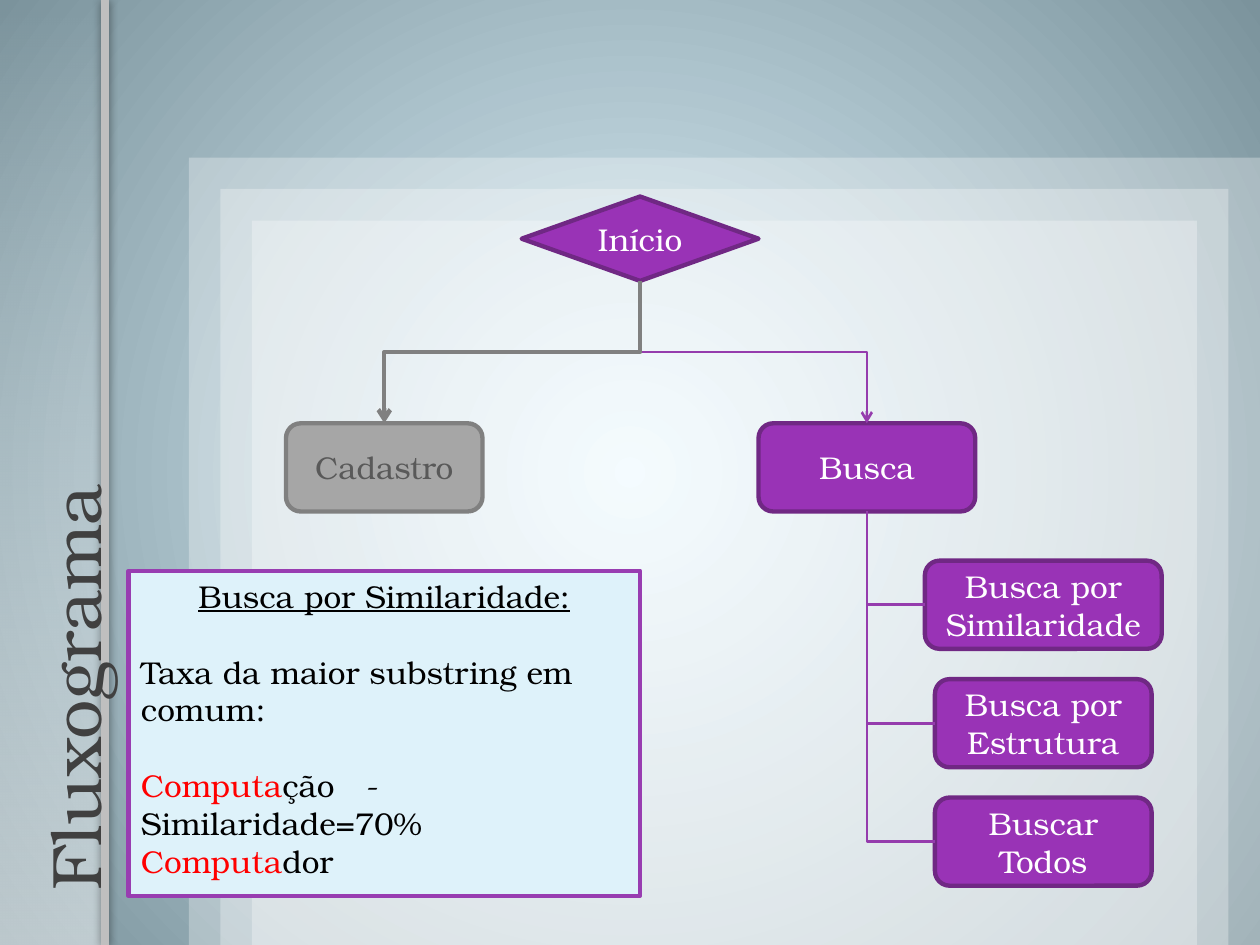
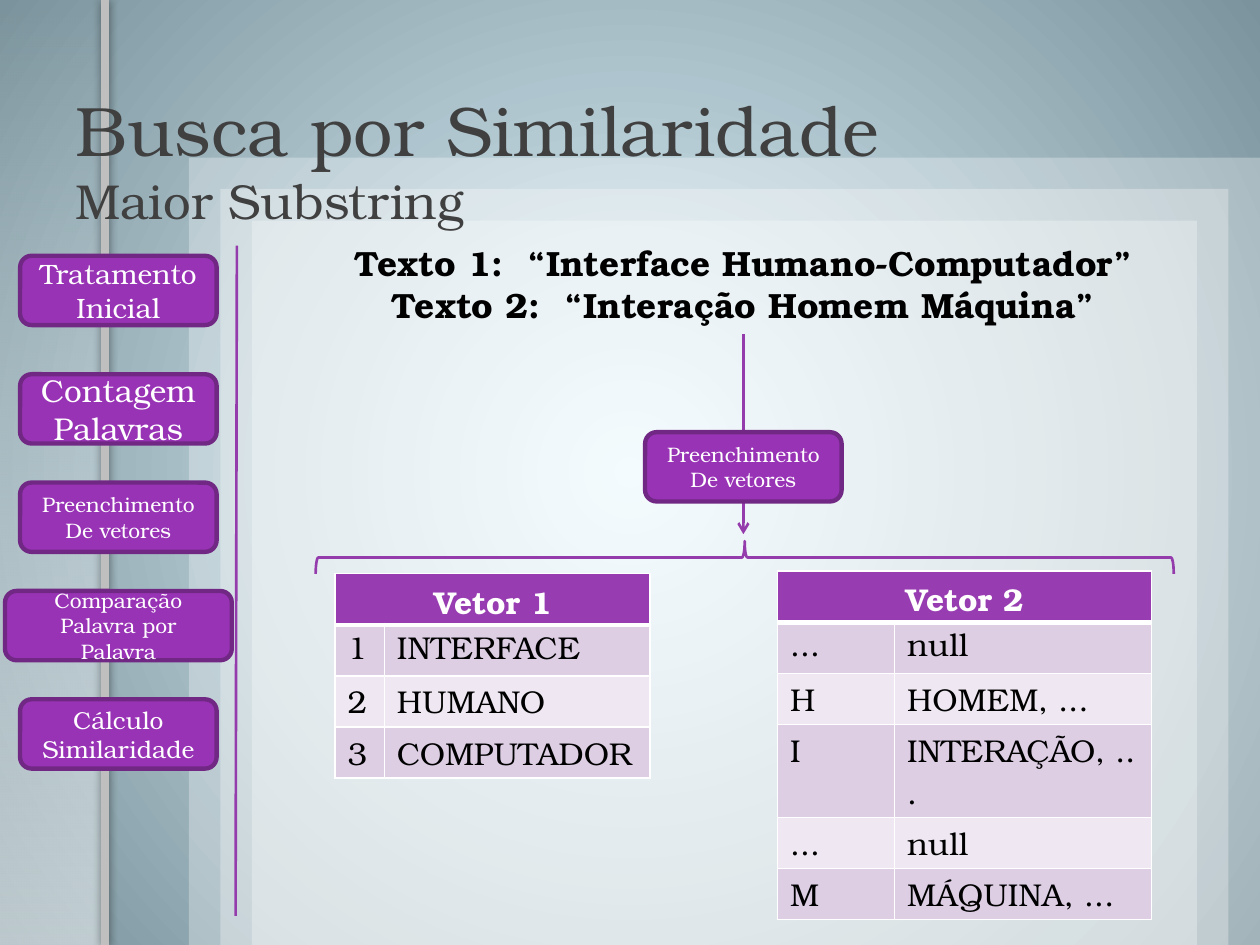
"""Build two slides on a similarity search: a flowchart and the filling of vectors."""
from lxml import etree
from pptx import Presentation
from pptx.dml.color import RGBColor
from pptx.enum.shapes import MSO_CONNECTOR, MSO_SHAPE
from pptx.enum.text import MSO_ANCHOR, MSO_AUTO_SIZE, PP_ALIGN
from pptx.oxml import parse_xml
from pptx.oxml.ns import nsdecls, qn
from pptx.util import Inches, Pt

RECT, ROUND = MSO_SHAPE.RECTANGLE, MSO_SHAPE.ROUNDED_RECTANGLE
DECISION, BRACE = MSO_SHAPE.FLOWCHART_DECISION, MSO_SHAPE.LEFT_BRACE
STRAIGHT, ELBOW = MSO_CONNECTOR.STRAIGHT, MSO_CONNECTOR.ELBOW
TOP, MIDDLE, BOTTOM = MSO_ANCHOR.TOP, MSO_ANCHOR.MIDDLE, MSO_ANCHOR.BOTTOM
LEFT, CENTER = PP_ALIGN.LEFT, PP_ALIGN.CENTER

WIDTH, HEIGHT = 10, 7.5
FONT = "TeX Gyre Bonum"
COLORS = {
    "glow": "E1F6FF", "edge": "7B939C", "white": "FFFFFF", "black": "000000",
    "rail": "BFBFBF", "title": "404040", "node": "9933B6", "node_line": "702884",
    "link": "953CAD", "head": "983DB1", "odd": "DDCEE4", "even": "EFE8F2",
    "off": "A6A6A6", "off_line": "808080", "off_text": "595959",
    "note": "DEF2FA", "match": "FF0000",
}
ACTIVE = ("node", "node_line", "white")
INACTIVE = ("off", "off_line", "off_text")

SEARCHES = [("Busca por Similaridade", 1.88), ("Busca por Estrutura", 1.72), ("Buscar Todos", 1.72)]
NOTE = [
    {"runs": [("Busca por Similaridade:", {"underline": True})], "align": CENTER},
    {"runs": [("Taxa da maior substring em comum:", {})], "before": 21.6},
    {"runs": [("Computa", {"color": "match"}), ("ção\t- Similaridade=70%", {})],
     "before": 21.6, "tab": 1.79},
    {"runs": [("Computa", {"color": "match"}), ("dor", {})]},
]
FILLING = ["Preenchimento", "De vetores"]
STEPS = [
    (["Tratamento Inicial"], 16, 1.56),
    (["Contagem", "Palavras"], 18, 1.56),
    (FILLING, 12, 1.56),
    (["Comparação Palavra por Palavra"], 12, 1.8),
    (["Cálculo Similaridade"], 14, 1.56),
]
TEXTS = ["Texto 1:  “Interface Humano-Computador”", "Texto 2:  “Interação Homem Máquina”"]
VECTORS = [
    ("Vetor 1", (2.66, 4.55), (0.39, 2.11),
     [("1", "INTERFACE"), ("2", "HUMANO"), ("3", "COMPUTADOR")]),
    ("Vetor 2", (6.17, 4.53), (0.93, 2.04),
     [("...", "null"), ("H", "HOMEM, ..."), ("I", "INTERAÇÃO, ..."),
      ("...", "null"), ("M", "MÁQUINA, ...")]),
]


def rgb(name):
    return RGBColor.from_string(COLORS[name])


def gradient(stops, direction):
    marks = "".join(
        f'<a:gs pos="{pos * 1000}"><a:srgbClr val="{COLORS[color]}">'
        f'<a:alpha val="{alpha * 1000}"/></a:srgbClr></a:gs>' for pos, color, alpha in stops)
    return parse_xml(f'<a:gradFill {nsdecls("a")} rotWithShape="1">'
                     f'<a:gsLst>{marks}</a:gsLst>{direction}</a:gradFill>')


def write(frame, paragraphs, size=18, color="white", bold=None, align=CENTER, anchor=MIDDLE):
    frame.word_wrap = True
    frame.auto_size = MSO_AUTO_SIZE.NONE
    frame.vertical_anchor = anchor
    for index, item in enumerate(paragraphs):
        spec = {"runs": [(item, {})]} if isinstance(item, str) else item
        paragraph = frame.add_paragraph() if index else frame.paragraphs[0]
        paragraph.alignment = spec.get("align", align)
        paragraph.space_before = Pt(spec.get("before", 0))
        if "tab" in spec:
            stops = etree.SubElement(paragraph._p.get_or_add_pPr(), qn("a:tabLst"))
            etree.SubElement(stops, qn("a:tab"), pos=str(Inches(spec["tab"])), algn="l")
        for text, style in spec["runs"]:
            run = paragraph.add_run()
            run.text = text.rstrip("\n")
            run.font.name = FONT
            run.font.size = Pt(style.get("size", size))
            run.font.color.rgb = rgb(style.get("color", color))
            run.font.bold = bold
            run.font.underline = style.get("underline")
            if text.endswith("\n"):
                paragraph.add_line_break()


def add_box(slide, kind, box, fill=None, line=None, weight=2.5):
    shape = slide.shapes.add_shape(kind, *map(Inches, box))
    shape.shadow.inherit = False
    if fill:
        shape.fill.solid()
        shape.fill.fore_color.rgb = rgb(fill)
    else:
        shape.fill.background()
    if line:
        shape.line.color.rgb = rgb(line)
        shape.line.width = Pt(weight)
    else:
        shape.line.fill.background()
    return shape


def add_node(slide, paragraphs, center, top, width, height, kind=ROUND, look=ACTIVE, size=18):
    fill, line, color = look
    node = add_box(slide, kind, (center - width / 2, top, width, height), fill, line)
    write(node.text_frame, paragraphs, size=size, color=color)


def add_link(slide, start, end, kind=STRAIGHT, color="link", weight=1.5, arrow=False):
    link = slide.shapes.add_connector(kind, *map(Inches, (*start, *end)))
    link.line.color.rgb = rgb(color)
    link.line.width = Pt(weight)
    if arrow:
        etree.SubElement(link.line._ln, qn("a:tailEnd"), type="arrow")
    etree.SubElement(link.element.spPr, qn("a:effectLst"))
    return link


def add_drop(slide, start, end, corners=2, **style):
    (x1, y1), (x2, y2) = start, end
    across, down = abs(x2 - x1), y2 - y1
    left, top = (x1 + x2 - down) / 2, (y1 + y2 - across) / 2
    link = add_link(slide, (left, top), (left + down, top + across), ELBOW, **style)
    properties = link.element.spPr
    turn = properties.find(qn("a:xfrm"))
    turn.set("rot", "16200000" if x2 > x1 else "5400000")
    if x2 > x1:
        turn.set("flipH", "1")
    properties.find(qn("a:prstGeom")).set("prst", f"bentConnector{corners + 1}")


def decorate_master(master, slide):
    fill = master.background.fill
    fill.solid()
    solid = master.element.find(".//" + qn("p:bgPr") + "/" + qn("a:solidFill"))
    circle = ('<a:path path="circle"><a:fillToRect l="50000" t="50000" r="50000" b="50000"/>'
              '</a:path>')
    solid.getparent().replace(
        solid, gradient([(0, "glow", 100), (100, "edge", 100)], circle))
    parts = []
    for inset, right in enumerate((WIDTH, 9.75, 9.5)):
        left, top = 1.5 + inset / 4, 1.25 + inset / 4
        panel = add_box(slide, RECT, (left, top, right - left, HEIGHT - top), "white")
        tint = panel.element.spPr.find(qn("a:solidFill"))[0]
        etree.SubElement(tint, qn("a:alpha"), val="30000")
        parts.append(panel)
    band = add_box(slide, RECT, (0, 0, 0.85, HEIGHT), "white")
    plain = band.element.spPr.find(qn("a:solidFill"))
    band.element.spPr.replace(plain, gradient(
        [(0, "white", 50), (100, "white", 0)], '<a:lin ang="16200000" scaled="0"/>'))
    rail = add_link(slide, (0.83, 0), (0.83, HEIGHT), color="rail", weight=4.5)
    shadow = etree.SubElement(rail.element.spPr.find(qn("a:effectLst")), qn("a:outerShdw"),
                              blurRad=str(Pt(5)), dist="0", dir="0")
    shade = etree.SubElement(shadow, qn("a:srgbClr"), val=COLORS["black"])
    etree.SubElement(shade, qn("a:alpha"), val="40000")
    for part in parts + [band, rail]:
        master.shapes.element.append(part.element)


def place_title(slide, runs, box, rotation=0):
    title = slide.shapes.title
    title.left, title.top, title.width, title.height = map(Inches, box)
    title.rotation = rotation
    write(title.text_frame, [{"runs": runs}], size=40, color="title", align=LEFT, anchor=BOTTOM)


def add_vector(slide, heading, corner, columns, entries):
    row_height, padding = 0.405, Inches(0.05)
    count = len(entries) + 1
    table = slide.shapes.add_table(
        count, 2, *map(Inches, (*corner, sum(columns), row_height * count))).table
    for column, width in zip(table.columns, columns):
        column.width = Inches(width)
    for row in table.rows:
        row.height = Inches(row_height)
    table.cell(0, 0).merge(table.cell(0, 1))
    for r, values in enumerate([(heading, ""), *entries]):
        borders = {"L": 1, "R": 1, "T": 3 if r == 1 else 1, "B": 3 if r == 0 else 1}
        for c, value in enumerate(values):
            cell = table.cell(r, c)
            cell.margin_top = padding - Pt(borders["T"])
            cell.margin_bottom = padding - Pt(borders["B"])
            properties = cell._tc.get_or_add_tcPr()
            for side, weight in borders.items():
                properties.append(parse_xml(
                    f'<a:ln{side} {nsdecls("a")} w="{Pt(weight)}"><a:solidFill>'
                    f'<a:srgbClr val="{COLORS["white"]}"/></a:solidFill></a:ln{side}>'))
            cell.fill.solid()
            cell.fill.fore_color.rgb = rgb("head" if r == 0 else "odd" if r % 2 else "even")
            if value:
                write(cell.text_frame, [value], color="black" if r else "white",
                      bold=r == 0, align=LEFT if r else CENTER, anchor=TOP)


def build_flowchart(slide):
    place_title(slide, [("Fluxograma", {})], (-2.91, 3.29, 6.83, 0.93), 270)
    start, register, search, options = 5.08, 3.05, 6.88, 8.28
    level, node_height = 3.36, 0.7
    add_node(slide, ["Busca"], search, level, 1.72, node_height)
    add_node(slide, ["Início"], start, 1.56, 1.88, 0.67, kind=DECISION)
    add_node(slide, ["Cadastro"], register, level, 1.56, node_height, look=INACTIVE)
    add_drop(slide, (start, 2.23), (search, level), arrow=True)
    add_drop(slide, (start, 2.23), (register, level), color="off_line", weight=2.5, arrow=True)
    for index, (label, width) in enumerate(SEARCHES):
        top = 4.45 + 0.94 * index
        add_node(slide, [label], options, top, width, node_height)
        add_drop(slide, (search, level + node_height),
                 (options - width / 2, top + node_height / 2), corners=1)
    note = add_box(slide, RECT, (1.02, 4.53, 4.06, 2.58), "note", "head")
    write(note.text_frame, NOTE, color="black", align=LEFT, anchor=TOP)


def build_vectors(slide):
    place_title(slide, [("Busca por Similaridade\n", {}), ("Maior Substring", {"size": 28})],
                (0.5, 0.3, 9, 1.57))
    texts = slide.shapes.add_textbox(*map(Inches, (2.23, 1.87, 7.34, 0.77)))
    write(texts.text_frame, TEXTS, size=20, color="black", bold=True, anchor=TOP)
    add_link(slide, (1.88, 1.95), (1.87, 7.27))
    axis, step_height = 5.9, 0.55
    add_link(slide, (axis, 2.65), (axis, 4.24), arrow=True)
    add_node(slide, FILLING, axis, 3.43, 1.56, step_height, size=12)
    brace = add_box(slide, BRACE, (5.78, 1.02, 0.26, 6.81), line="link", weight=1.5)
    brace.rotation = 90
    tops = [2.03] + [2.97 + 0.86 * index for index in range(len(STEPS) - 1)]
    for (label, size, width), top in zip(STEPS, tops):
        add_node(slide, label, 0.94, top, width, step_height, size=size)
    for vector in VECTORS:
        add_vector(slide, *vector)


deck = Presentation()
deck.slide_width, deck.slide_height = Inches(WIDTH), Inches(HEIGHT)
title_only = deck.slide_layouts[5]
flowchart, vectors = (deck.slides.add_slide(title_only) for _ in range(2))
decorate_master(deck.slide_master, flowchart)
build_flowchart(flowchart)
build_vectors(vectors)
deck.save("out.pptx")
